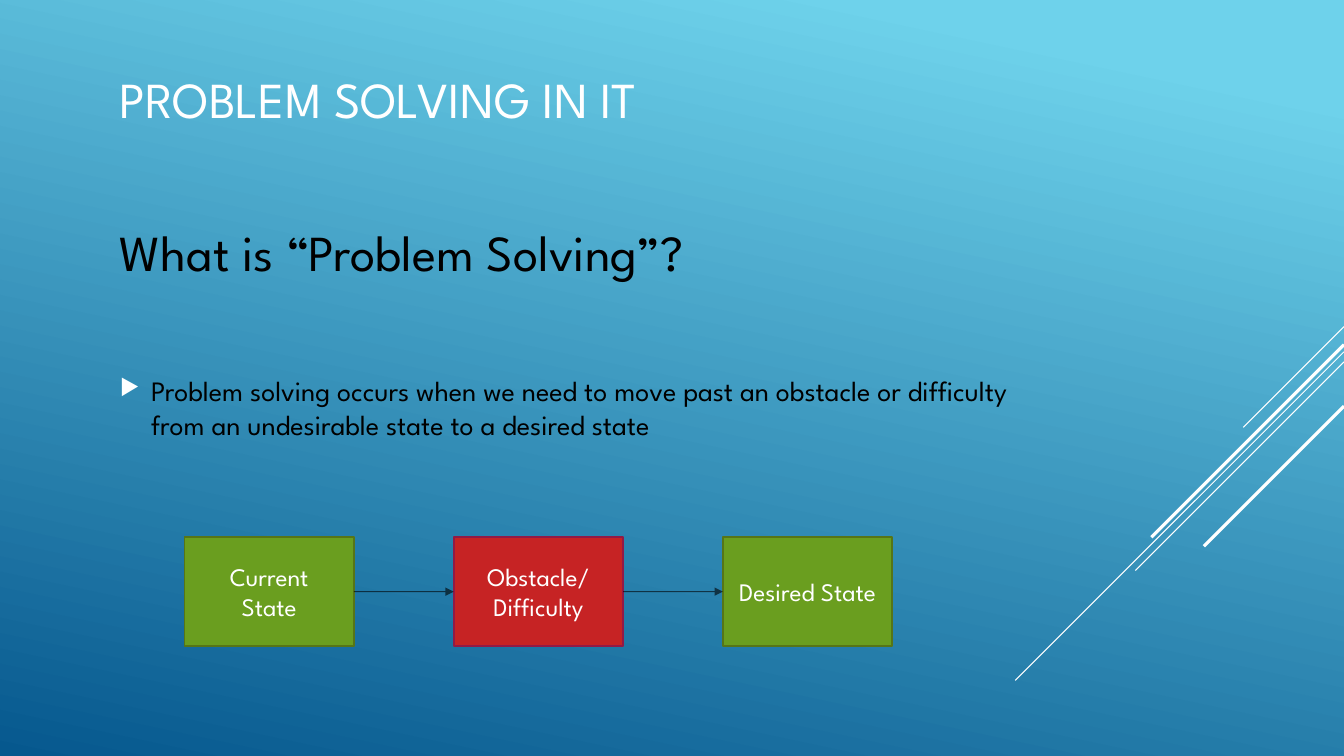
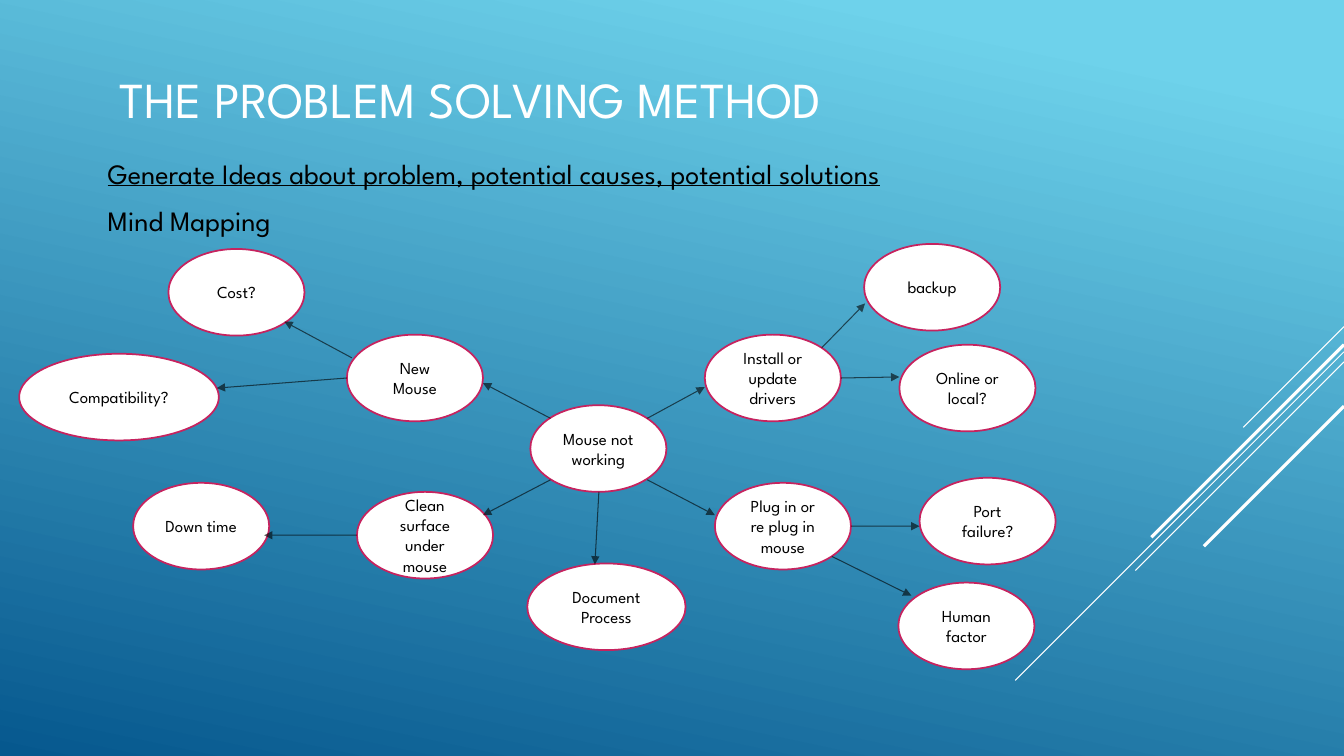
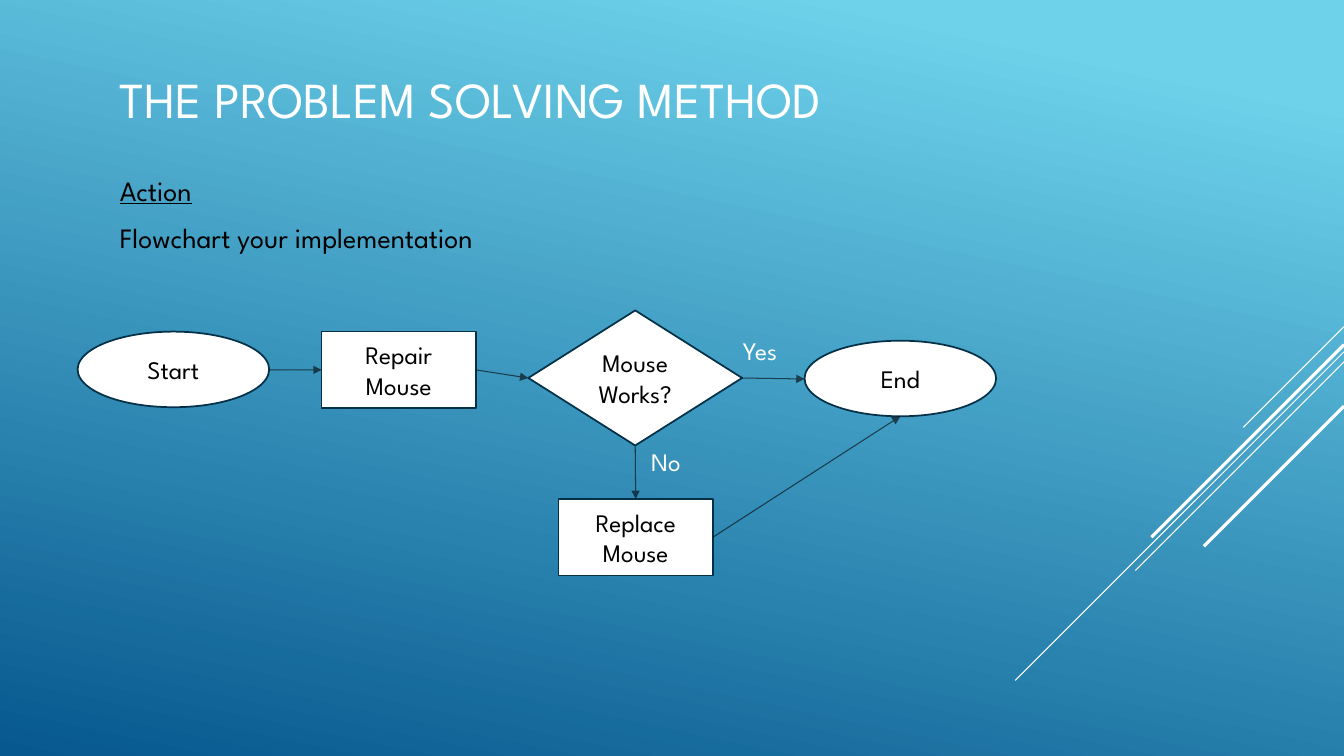
"""Build three slides on problem solving in IT."""
from dataclasses import dataclass

from lxml import etree
from pptx import Presentation, util as u
from pptx.dml.color import RGBColor
from pptx.enum import shapes, text
from pptx.oxml.ns import qn

FONT = "League Spartan"
WHITE, BLACK = "FFFFFF", "000000"
SKY, NAVY = "6ED2EB", "06588E"
GREEN, GREEN_EDGE = "6A9E1F", "567517"
RED, RED_EDGE = "C62324", "921A46"
PINK, INK = "C6235F", "043148"
RECT = shapes.MSO_SHAPE.RECTANGLE
OVAL = shapes.MSO_SHAPE.OVAL
DIAMOND = shapes.MSO_SHAPE.DIAMOND
TOP, LEFT, BOTTOM, RIGHT = range(4)
TITLE_BOX = (1.09, 0.15, 9.33, 1.65)
OVAL_W, OVAL_H = 1.35, 0.86
METHOD = "THE PROBLEM SOLVING METHOD"


@dataclass
class Para:
    """A line of text with its size and paragraph look."""
    words: str
    size: float = 20
    color: str = BLACK
    underline: bool = False
    after: float = 10
    bullet: bool = False


@dataclass
class Node:
    """A labelled shape in a diagram."""
    label: str
    x: float
    y: float
    w: float = OVAL_W
    h: float = OVAL_H
    kind: int = OVAL
    fill: str = WHITE
    edge: str = PINK
    size: float = 12
    color: str = BLACK


@dataclass
class Stripe:
    """A diagonal accent line that starts at the right edge."""
    y: float
    run: float
    width: float = 0.75


STRIPES = [Stripe(3.24, 1), Stripe(3.49, 3.26), Stripe(3.59, 2.07),
           Stripe(3.42, 1.91, 2.25), Stripe(4.03, 1.39, 2.25)]

IDEAS = [
    Node("Mouse not working", 5.26, 4.02),
    Node("Install or update drivers", 6.99, 3.32),
    Node("Plug in or re plug in mouse", 7.09, 4.79),
    Node("New Mouse", 3.44, 3.32),
    Node("Clean surface under mouse", 3.54, 4.88),
    Node("backup", 8.57, 2.42),
    Node("Online or local?", 8.92, 3.42),
    Node("Port failure?", 9.12, 4.74),
    Node("Human\nfactor", 8.91, 5.78),
    Node("Down time", 1.32, 4.79),
    Node("Cost?", 1.67, 2.47),
    Node("Compatibility?", 0.19, 3.51, w=1.98),
    Node("Document\nProcess", 5.23, 5.59, w=1.57),
]

IDEA_ARROWS = [
    ((6.42, 4.15), (6.99, 3.84)), ((5.46, 4.15), (4.79, 3.8)),
    ((5.46, 4.76), (4.79, 5.11)), ((6.42, 4.76), (7.09, 5.11)),
    ((3.49, 3.55), (2.82, 3.19)), ((3.44, 3.75), (2.15, 3.85)),
    ((8.15, 3.45), (8.58, 3.01)), ((8.34, 3.75), (8.92, 3.74)),
    ((3.54, 5.31), (2.62, 5.31)), ((8.44, 5.22), (9.12, 5.22)),
    ((8.25, 5.52), (9.04, 5.91)), ((5.94, 4.88), (5.9, 5.6)),
]


def rgb(value: str) -> RGBColor:
    """Turn a hex string into a colour."""
    return RGBColor.from_string(value)


def inches(*values: float) -> list:
    """Turn numbers into lengths."""
    return [u.Inches(v) for v in values]


def set_all(target, values: dict) -> None:
    """Set each named attribute on the target."""
    for name, value in values.items():
        setattr(target, name, value)


def add_run(p, words: str, size: float, color: str, underline: bool = False) -> None:
    """Add one formatted run to a paragraph."""
    r = p.add_run()
    r.text = words
    set_all(r.font, {"name": FONT, "size": u.Pt(size), "underline": underline})
    r.font.color.rgb = rgb(color)


def add_bullet(p) -> None:
    """Give a paragraph a white triangle and a hanging indent."""
    pPr = p._p.get_or_add_pPr()
    indent = u.Inches(0.31)
    pPr.set("marL", str(indent))
    pPr.set("indent", str(-indent))
    clr = etree.SubElement(pPr, qn("a:buClr"))
    etree.SubElement(clr, qn("a:srgbClr"), val=WHITE)
    etree.SubElement(pPr, qn("a:buSzPct"), val="80000")
    etree.SubElement(pPr, qn("a:buChar"), char="▶")


def add_text(s, box: tuple, paras: list[Para],
             anchor=text.MSO_ANCHOR.TOP, wrap: bool = True) -> None:
    """Add a text box holding the given paragraphs."""
    tf = s.shapes.add_textbox(*inches(*box)).text_frame
    set_all(tf, {"word_wrap": wrap, "vertical_anchor": anchor})
    for i, para in enumerate(paras):
        p = tf.add_paragraph() if i else tf.paragraphs[0]
        p.space_after = u.Pt(para.after)
        if para.bullet:
            add_bullet(p)
        add_run(p, para.words, para.size, para.color, para.underline)


def add_node(s, node: Node):
    """Draw a diagram shape with centred text."""
    sp = s.shapes.add_shape(node.kind, *inches(node.x, node.y, node.w, node.h))
    sp.shadow.inherit = False
    sp.fill.solid()
    sp.fill.fore_color.rgb = rgb(node.fill)
    sp.line.color.rgb = rgb(node.edge)
    sp.line.width = u.Pt(1.25)
    tf = sp.text_frame
    set_all(tf, {"word_wrap": True, "vertical_anchor": text.MSO_ANCHOR.MIDDLE})
    for i, words in enumerate(node.label.split("\n")):
        p = tf.add_paragraph() if i else tf.paragraphs[0]
        p.alignment = text.PP_ALIGN.CENTER
        add_run(p, words, node.size, node.color)
    return sp


def add_line(s, start: tuple, end: tuple, color: str, width: float = 0.75):
    """Draw a straight line without a shadow."""
    cx = s.shapes.add_connector(shapes.MSO_CONNECTOR.STRAIGHT, *inches(*start, *end))
    cx.line.color.rgb = rgb(color)
    cx.line.width = u.Pt(width)
    etree.SubElement(cx._element.spPr, qn("a:effectLst"))
    return cx


def add_arrow(s, start: tuple = (0, 0), end: tuple = (0, 0),
              begin_at: tuple = (), end_at: tuple = ()) -> None:
    """Draw a translucent arrow between points or (shape, side) joins."""
    cx = add_line(s, start, end, BLACK)
    ln = cx.line._get_or_add_ln()
    etree.SubElement(ln.find(".//" + qn("a:srgbClr")), qn("a:alpha"), val="60000")
    etree.SubElement(ln, qn("a:tailEnd"), type="triangle")
    if begin_at:
        cx.begin_connect(*begin_at)
    if end_at:
        cx.end_connect(*end_at)


def set_background(master) -> None:
    """Fill the master background with the blue gradient."""
    fill = master.background.fill
    fill.gradient()
    fill.gradient_angle = 360 - 102
    for stop, color, position in zip(fill.gradient_stops, (SKY, NAVY), (0.1, 1)):
        stop.color.rgb = rgb(color)
        stop.position = position


def add_slide(prs, title: str):
    """Add a slide with the accent stripes and a title."""
    s = prs.slides.add_slide(prs.slide_layouts[6])
    edge = 13.33
    for stripe in STRIPES:
        add_line(s, (edge, stripe.y), (edge - stripe.run, stripe.y + stripe.run),
                 WHITE, stripe.width)
    add_text(s, TITLE_BOX, [Para(title, 36, WHITE, after=0)], text.MSO_ANCHOR.MIDDLE)
    return s


def build_definition(prs) -> None:
    """Build the slide that defines problem solving."""
    s = add_slide(prs, "PROBLEM SOLVING IN IT")
    add_text(s, (1.09, 2.14, 9.33, 2.65), [
        Para("What is “Problem Solving”?", 36, after=66),
        Para("Problem solving occurs when we need to move past an obstacle or "
             "difficulty from an undesirable state to a desired state", bullet=True)])
    states = [("Current\nState", GREEN, GREEN_EDGE),
              ("Obstacle/\nDifficulty", RED, RED_EDGE),
              ("Desired State", GREEN, GREEN_EDGE)]
    boxes = [add_node(s, Node(label, 1.83 + 2.67 * i, 5.33, 1.68, 1.08, RECT,
                              fill, edge, 18, WHITE))
             for i, (label, fill, edge) in enumerate(states)]
    for left, right in zip(boxes, boxes[1:]):
        add_arrow(s, begin_at=(left, RIGHT), end_at=(right, LEFT))


def build_mind_map(prs) -> None:
    """Build the mind map slide."""
    s = add_slide(prs, METHOD)
    add_text(s, (0.97, 1.5, 10.1, 1), [
        Para("Generate Ideas about problem, potential causes, potential solutions",
             underline=True),
        Para("Mind Mapping")])
    for node in IDEAS:
        add_node(s, node)
    for start, end in IDEA_ARROWS:
        add_arrow(s, start, end)


def build_flowchart(prs) -> None:
    """Build the flowchart slide."""
    s = add_slide(prs, METHOD)
    add_text(s, (1.09, 1.67, 9.33, 1), [
        Para("Action", underline=True), Para("Flowchart your implementation")])
    look = {"edge": INK, "size": 18}
    oval = {"w": 1.9, "h": 0.75, **look}
    step = {"w": 1.53, "h": 0.76, "kind": RECT, **look}
    add_node(s, Node("Start", 0.77, 3.29, **oval))
    add_node(s, Node("End", 7.98, 3.38, **oval))
    repair = add_node(s, Node("Repair Mouse", 3.19, 3.29, **step))
    replace = add_node(s, Node("Replace Mouse", 5.54, 4.95, **step))
    works = add_node(s, Node("Mouse\nWorks?", 5.24, 3.08, 2.12, 1.34, DIAMOND, **look))
    add_arrow(s, start=(2.67, 3.67), end_at=(repair, LEFT))
    add_arrow(s, begin_at=(repair, RIGHT), end_at=(works, LEFT))
    add_arrow(s, begin_at=(works, BOTTOM), end_at=(replace, TOP))
    add_arrow(s, begin_at=(works, RIGHT), end=(7.98, 3.76))
    add_arrow(s, begin_at=(replace, RIGHT), end=(8.93, 4.13))
    for words, box in [("Yes", (7.27, 3.28, 0.61, 0.4)), ("No", (6.36, 4.38, 0.55, 0.4))]:
        add_text(s, box, [Para(words, 18, WHITE, after=0)], wrap=False)


def main() -> None:
    """Build and save the presentation."""
    prs = Presentation()
    set_all(prs, {"slide_width": u.Inches(13.33), "slide_height": u.Inches(7.5)})
    set_background(prs.slide_master)
    for build in (build_definition, build_mind_map, build_flowchart):
        build(prs)
    prs.save("out.pptx")


if __name__ == "__main__":
    main()
